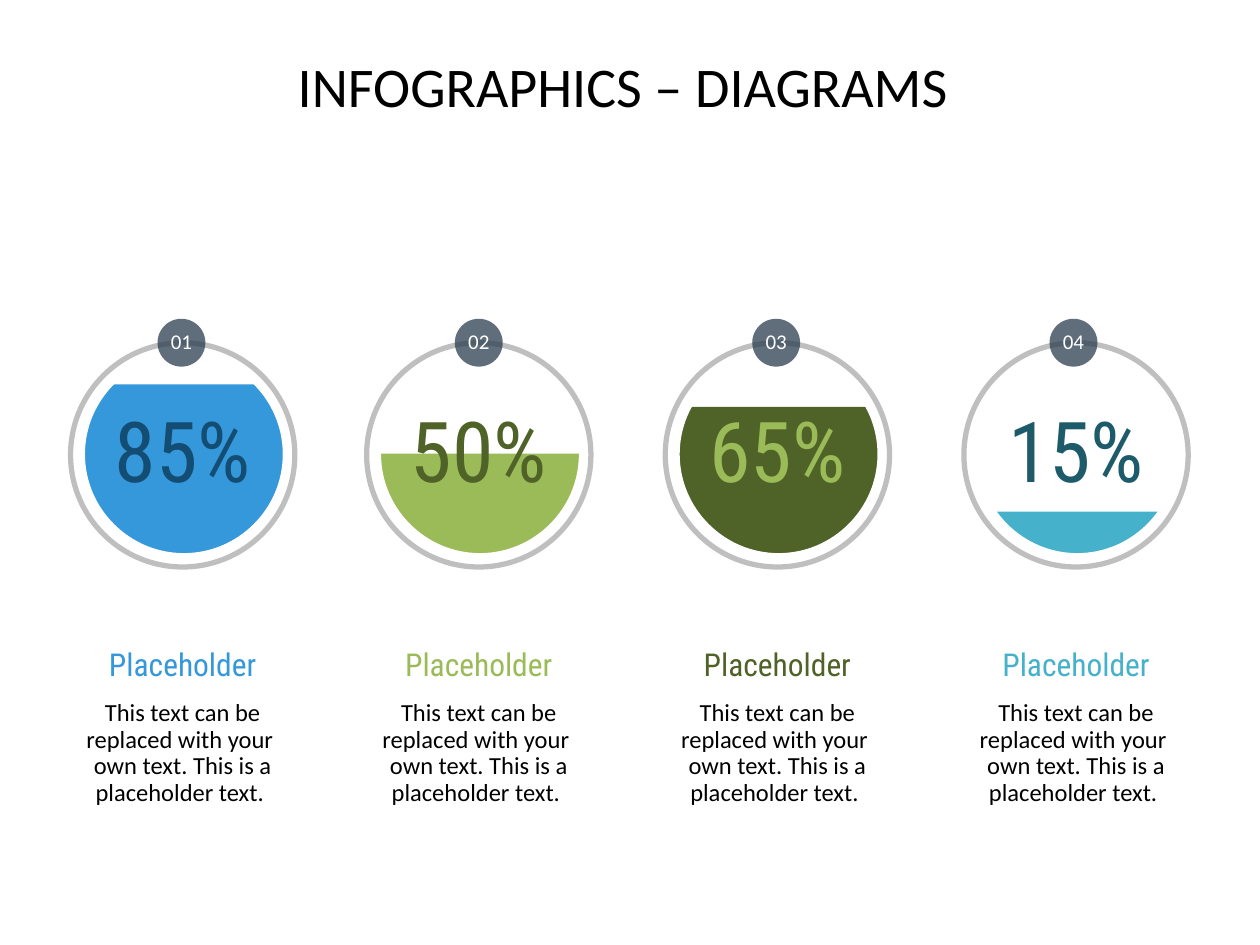
from pptx import Presentation
from pptx import util as u
from pptx.dml import color
from pptx.enum import shapes, text
from pptx.oxml import ns
from lxml import etree

RGB = color.RGBColor
BLUE, NAVY = RGB(0x34, 0x98, 0xDB), RGB(0x14, 0x4D, 0x73)
LIME, OLIVE = RGB(0x9B, 0xBB, 0x59), RGB(0x4F, 0x62, 0x28)
TEAL, DEEP = RGB(0x45, 0xB1, 0xCB), RGB(0x1E, 0x5B, 0x6A)
GRAY, SLATE = RGB(0xBF, 0xBF, 0xBF), RGB(0x2C, 0x3E, 0x50)
WHITE, BLACK = RGB(0xFF, 0xFF, 0xFF), RGB(0, 0, 0)
BODY, HEAD = "Calibri", "Roboto Condensed"
KIND = shapes.MSO_SHAPE

GAUGES = [
    (0.55, "01", "85%", 3.05, BLUE, NAVY),
    (2.9, "02", "50%", 3.6, LIME, OLIVE),
    (5.27, "03", "65%", 3.23, OLIVE, LIME),
    (7.64, "04", "15%", 4.06, TEAL, DEEP),
]


def set_frame(frame, inset=0, anchor=text.MSO_ANCHOR.TOP):
    frame.word_wrap = True
    frame.auto_size = text.MSO_AUTO_SIZE.NONE
    frame.vertical_anchor = anchor
    frame.margin_left = frame.margin_right = u.Inches(inset)
    frame.margin_top = frame.margin_bottom = u.Inches(inset)


def write(para, lines, size, font, ink, after=10):
    para.alignment = text.PP_ALIGN.CENTER
    para.line_spacing = 0.9
    para.space_before = u.Pt(0)
    para.space_after = u.Pt(after)
    for i, line in enumerate(lines):
        if i:
            para.add_line_break()
        run = para.add_run()
        run.text = line
        run.font.size = u.Pt(size)
        run.font.name = font
        run.font.color.rgb = ink


def paint(shape, fill=None, line=None):
    shape.shadow.inherit = False
    if fill is None:
        shape.fill.background()
    else:
        shape.fill.solid()
        shape.fill.fore_color.rgb = fill
    if line is None:
        shape.line.fill.background()
    else:
        shape.line.color.rgb = line
        shape.line.width = u.Pt(3)


def add_part(group, kind, x, y, w, h, fill=None, line=None):
    part = group.shapes.add_shape(kind, *map(u.Inches, (x, y, w, h)))
    paint(part, fill, line)
    return part


def add_step(route, tag, spots):
    step = etree.SubElement(route, ns.qn(tag))
    for x, y in spots:
        etree.SubElement(step, ns.qn("a:pt"), x=str(u.Inches(x)), y=str(u.Inches(y)))


def add_mask(group, x, y, w, h):
    left, top, right, base = map(u.Inches, (x, y, x + w, y + h))
    pen = group.shapes.build_freeform(left, top)
    pen.add_line_segments([(left, base), (right, base), (right, top)])
    mask = pen.convert_to_shape()
    paint(mask, WHITE)
    route = mask._element.find(".//" + ns.qn("a:path"))
    mid_x, mid_y, rad = w / 2, h / 2, 0.785
    bend = rad * 0.55
    add_step(route, "a:moveTo", [(mid_x, mid_y + rad)])
    for dx, dy in [(0, 1), (-1, 0), (0, -1), (1, 0)]:
        ex, ey = -dy, dx
        add_step(route, "a:cubicBezTo", [
            (mid_x + dx * rad + ex * bend, mid_y + dy * rad + ey * bend),
            (mid_x + ex * rad + dx * bend, mid_y + ey * rad + dy * bend),
            (mid_x + ex * rad, mid_y + ey * rad)])
    add_step(route, "a:close", [])


def add_gauge(slide, x, y, w, h, spot, num, rate, level, fill, ink):
    group = slide.shapes.add_group_shape()
    add_part(group, KIND.RECTANGLE, x, level, 1.79, 4.51 - level, fill)
    add_mask(group, x - 0.12, y, w, h)
    dial = add_part(group, KIND.OVAL, x + 0.01, y + 0.14, 1.78, 1.78, line=GRAY)
    set_frame(dial.text_frame, 0.04, text.MSO_ANCHOR.MIDDLE)
    write(dial.text_frame.paragraphs[0], [rate], 48, HEAD, ink)
    badge = add_part(group, KIND.OVAL, spot, y - 0.05, 0.38, 0.38, SLATE)
    tint = badge._element.spPr.find(".//" + ns.qn("a:srgbClr"))
    etree.SubElement(tint, ns.qn("a:alpha"), val="75000")
    set_frame(badge.text_frame, 0, text.MSO_ANCHOR.MIDDLE)
    write(badge.text_frame.paragraphs[0], [num], 12, BODY, WHITE)


def add_note(group, x, y, w, h, ink):
    frame = group.shapes.add_textbox(*map(u.Inches, (x, y, w, h))).text_frame
    set_frame(frame)
    write(frame.paragraphs[0], ["Placeholder"], 18, HEAD, ink)
    write(frame.add_paragraph(),
          ["This text can be replaced with your ",
           "own text. This is a placeholder text. "], 14, BODY, BLACK)


def add_title(slide, x, y, w, h):
    title = slide.shapes.title
    title.left, title.top, title.width, title.height = map(u.Inches, (x, y, w, h))
    set_frame(title.text_frame)
    write(title.text_frame.paragraphs[0], ["INFOGRAPHICS – DIAGRAMS "],
          32, BODY, BLACK, 0)


def main():
    deck = Presentation()
    deck.slide_width, deck.slide_height = u.Inches(10), u.Inches(7.5)
    slide = deck.slides.add_slide(deck.slide_layouts[5])
    add_title(slide, 0.43, 0.47, 9.13, 1.18)
    notes = slide.shapes.add_group_shape()
    for x, num, rate, level, fill, ink in GAUGES:
        add_note(notes, x, 5.15, 1.8, 1.35, fill)
    for i, (x, num, rate, level, fill, ink) in enumerate(GAUGES):
        add_gauge(slide, x, 2.58, 2.06, 2.05, 1.25 + 2.36 * i,
                  num, rate, level, fill, ink)
    deck.save("out.pptx")


if __name__ == "__main__":
    main()
